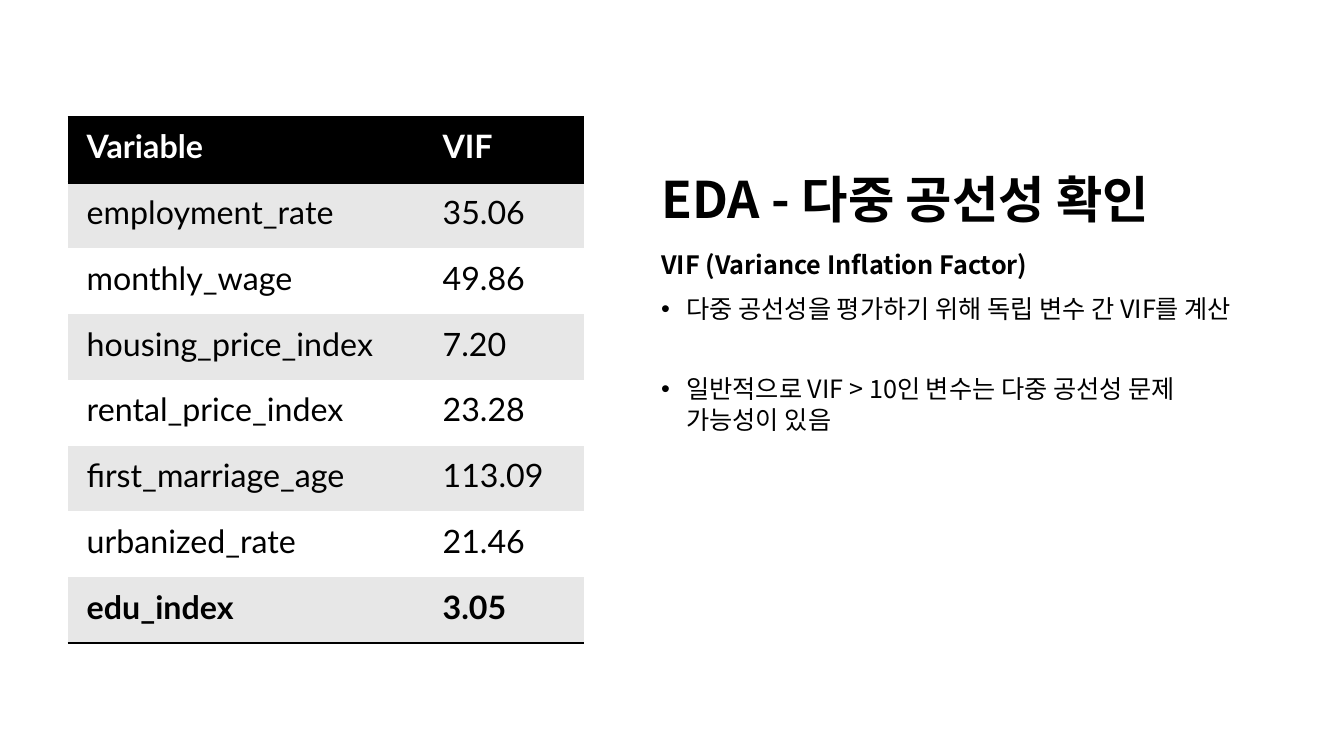
from lxml import etree
from pptx import Presentation
from pptx.dml.color import RGBColor
from pptx.enum.text import MSO_ANCHOR, MSO_AUTO_SIZE, PP_ALIGN
from pptx.oxml.ns import qn
from pptx.util import Inches, Pt

LEFT = PP_ALIGN.LEFT
BOTTOM = MSO_ANCHOR.BOTTOM
NO_AUTOFIT = MSO_AUTO_SIZE.NONE
BLACK, WHITE, GREY = "000000", "FFFFFF", "E7E7E7"
KOREAN_FONT, TABLE_FONT = "Noto Sans CJK KR", "Lato"
PLAIN_TABLE_STYLE = "{2D5ABB26-0587-4C30-8999-92F81FD0307C}"


def rgb(hex_color):
    return RGBColor.from_string(hex_color)


def style(paragraph, font_name, size, color, bold):
    font = paragraph.font
    font.name = font_name
    font.size = Pt(size)
    font.bold = bold
    font.color.rgb = rgb(color)
    latin = font._element.find(qn("a:latin"))
    east_asian = etree.Element(qn("a:ea"), typeface=font_name)
    latin.addnext(east_asian)


prs = Presentation()
prs.slide_width = Inches(13.33)
prs.slide_height = Inches(7.5)
slide = prs.slides.add_slide(prs.slide_layouts[5])

title = slide.shapes.title
title.left, title.top = Inches(6.46), Inches(0.66)
title.width, title.height = Inches(6.1), Inches(1.67)
title.text_frame.text = "EDA - 다중 공선성 확인"
title.text_frame.vertical_anchor = BOTTOM
title.text_frame.auto_size = NO_AUTOFIT
heading = title.text_frame.paragraphs[0]
heading.alignment = LEFT
heading.line_spacing = 0.9
style(heading, KOREAN_FONT, 36, BLACK, True)

explanation = slide.shapes.add_textbox(
    Inches(6.46), Inches(2.42), Inches(6.1), Inches(4.48)
).text_frame
explanation.word_wrap = True
explanation.auto_size = NO_AUTOFIT
points = [
    ("VIF (Variance Inflation Factor)", False, 10),
    ("다중 공선성을 평가하기 위해 독립 변수 간 VIF를 계산", True, 10),
    ("일반적으로 VIF > 10인 변수는 다중 공선성 문제 가능성이 있음", True, 36),
]
for index, (wording, bulleted, space_before) in enumerate(points):
    point = explanation.paragraphs[0] if index == 0 else explanation.add_paragraph()
    point.text = wording
    point.line_spacing = 1.0
    point.space_before = Pt(space_before)
    style(point, KOREAN_FONT, 18, BLACK, not bulleted)
    if bulleted:
        properties = point._p.get_or_add_pPr()
        properties.set("marL", str(Inches(0.25)))
        properties.set("indent", str(-Inches(0.25)))
        defaults = properties.find(qn("a:defRPr"))
        defaults.addprevious(etree.Element(qn("a:buFont"), typeface="Arial"))
        defaults.addprevious(etree.Element(qn("a:buChar"), char="•"))

vif_rows = [
    ("Variable", "VIF"),
    ("employment_rate", "35.06"),
    ("monthly_wage", "49.86"),
    ("housing_price_index", "7.20"),
    ("rental_price_index", "23.28"),
    ("first_marriage_age", "113.09"),
    ("urbanized_rate", "21.46"),
    ("edu_index", "3.05"),
]
last_row = len(vif_rows) - 1
vif_table = slide.shapes.add_table(
    len(vif_rows), 2, Inches(0.67), Inches(1.16), Inches(5.12), Inches(5.22)
).table
vif_table._tbl.tblPr.find(qn("a:tableStyleId")).text = PLAIN_TABLE_STYLE
vif_table.columns[0].width = Inches(3.53)
vif_table.columns[1].width = Inches(1.59)

for row, values in enumerate(vif_rows):
    vif_table.rows[row].height = Inches(5.22 / len(vif_rows))
    is_header = row == 0
    if is_header:
        fill_color, edges = BLACK, ["a:lnT", "a:lnB"]
    else:
        fill_color = GREY if row % 2 else WHITE
        edges = ["a:lnB"] if row == last_row else []
    for column, value in enumerate(values):
        cell = vif_table.cell(row, column)
        cell.text = value
        cell.margin_left = cell.margin_right = Inches(0.19)
        cell.margin_top = cell.margin_bottom = Inches(0.1)
        cell.fill.solid()
        cell.fill.fore_color.rgb = rgb(fill_color)
        style(cell.text_frame.paragraphs[0], TABLE_FONT, 23,
              WHITE if is_header else BLACK, row in (0, last_row))
        for position, edge in enumerate(edges):
            border = etree.Element(qn(edge), w=str(Pt(2)))
            border_fill = etree.SubElement(border, qn("a:solidFill"))
            etree.SubElement(border_fill, qn("a:srgbClr"), val=BLACK)
            cell._tc.get_or_add_tcPr().insert(position, border)

prs.save("out.pptx")
